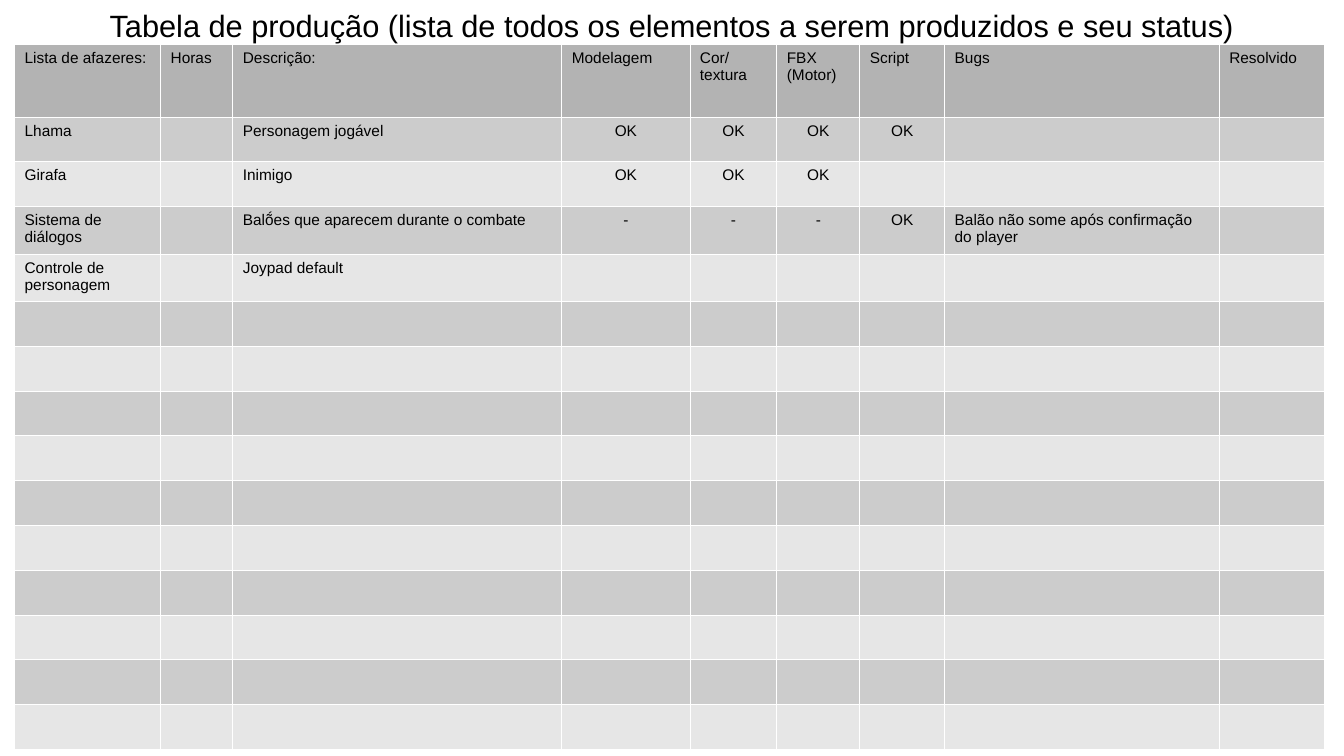
from lxml import etree
from pptx import Presentation, util as u
from pptx.dml.color import RGBColor
from pptx.enum import text
from pptx.oxml.ns import qn

# Content
TITLE = "Tabela de produção (lista de todos os elementos a serem produzidos e seu status)"
HEADER = ["Lista de afazeres:", "Horas", "Descrição:", "Modelagem", "Cor/textura",
          "FBX (Motor)", "Script", "Bugs", "Resolvido"]
TASKS = [
    ["Lhama", "", "Personagem jogável", "OK", "OK", "OK", "OK", "", ""],
    ["Girafa", "", "Inimigo", "OK", "OK", "OK", "", "", ""],
    ["Sistema de diálogos", "", "Balṍes que aparecem durante o combate", "-", "-", "-", "OK",
     "Balão não some após confirmação do player", ""],
    ["Controle de personagem", "", "Joypad default", "", "", "", "", "", ""],
]
EMPTY_ROWS = 10
STATUS_MARKS = ("OK", "-")

# Format
COLORS = {"text": "000000", "header": "B3B3B3", "odd": "CCCCCC", "even": "E6E6E6",
          "border": "FFFFFF"}
COL_WIDTHS = [3.68, 1.82, 8.29, 3.23, 2.19, 2.09, 2.14, 6.92, 2.65]
HEADER_HEIGHT, ROW_HEIGHT = 1.84, 1.13
TABLE_LEFT, TABLE_TOP = 0.37, 1.11
CELL_MARGINS = {"margin_left": u.Cm(0.25), "margin_right": u.Cm(0.25),
                "margin_top": u.Cm(0.13), "margin_bottom": u.Cm(0.13)}
TITLE_FRAME = {"margin_left": 0, "margin_right": 0, "margin_top": 0, "margin_bottom": 0,
               "word_wrap": True, "vertical_anchor": text.MSO_ANCHOR.MIDDLE}


def set_all(obj, values):
    for name, value in values.items():
        setattr(obj, name, value)


def write(tf, words, size, centered):
    p = tf.paragraphs[0]
    p.alignment = text.PP_ALIGN.CENTER if centered else text.PP_ALIGN.LEFT
    r = p.add_run()
    r.text = words
    set_all(r.font, {"name": "Arial", "size": u.Pt(size), "bold": False})
    r.font.color.rgb = RGBColor.from_string(COLORS["text"])


def add_borders(cell):
    tcPr = cell._tc.get_or_add_tcPr()
    for i, side in enumerate(("lnL", "lnR", "lnT", "lnB")):
        ln = etree.Element(qn("a:" + side), w=str(u.Pt(0.75)))
        fill = etree.SubElement(ln, qn("a:solidFill"))
        etree.SubElement(fill, qn("a:srgbClr"), val=COLORS["border"])
        tcPr.insert(i, ln)


def main():
    prs = Presentation()
    prs.slide_width, prs.slide_height = u.Cm(33.87), u.Cm(19.05)
    s = prs.slides.add_slide(prs.slide_layouts[6])

    # Title
    tf = s.shapes.add_textbox(u.Cm(2.33), u.Cm(0.2), u.Cm(29.2), u.Cm(0.87)).text_frame
    set_all(tf, TITLE_FRAME)
    write(tf, TITLE, 22, True)

    # Production table
    rows = [HEADER] + TASKS + [[""] * len(HEADER)] * EMPTY_ROWS
    heights = [HEADER_HEIGHT] + [ROW_HEIGHT] * (len(rows) - 1)
    table = s.shapes.add_table(len(rows), len(HEADER), u.Cm(TABLE_LEFT), u.Cm(TABLE_TOP),
                               u.Cm(sum(COL_WIDTHS)), u.Cm(sum(heights))).table
    set_all(table, {"first_row": False, "horz_banding": False})
    for col, width in zip(table.columns, COL_WIDTHS):
        col.width = u.Cm(width)
    for i, (row, height) in enumerate(zip(rows, heights)):
        table.rows[i].height = u.Cm(height)
        shade = "header" if i == 0 else "odd" if i % 2 else "even"
        for j, words in enumerate(row):
            cell = table.cell(i, j)
            set_all(cell, CELL_MARGINS)
            cell.fill.solid()
            cell.fill.fore_color.rgb = RGBColor.from_string(COLORS[shade])
            add_borders(cell)
            if words:
                write(cell.text_frame, words, 11, words in STATUS_MARKS)

    prs.save("out.pptx")


if __name__ == "__main__":
    main()
